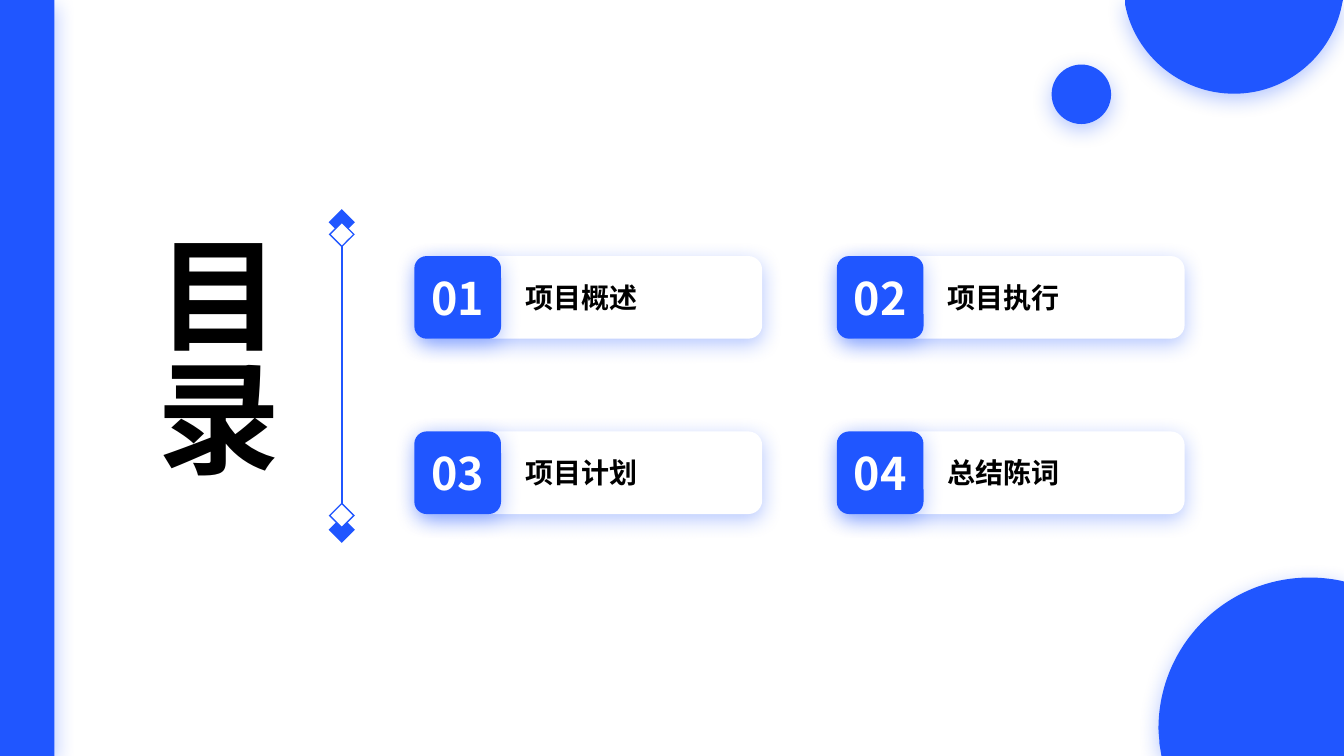
from lxml.etree import SubElement
from pptx import Presentation
from pptx.dml.color import RGBColor
from pptx.enum.shapes import MSO_CONNECTOR as Connector, MSO_SHAPE as Shape
from pptx.enum.text import MSO_ANCHOR as Anchor, PP_ALIGN as Align
from pptx.oxml.ns import qn
from pptx.util import Inches, Pt

COLORS = {"blue": "2056FF", "white": "FFFFFF", "black": "000000"}
FONT = "Noto Sans CJK SC"
PAGE_WIDTH, PAGE_HEIGHT = 13.33, 7.5
TOPICS = ["项目概述", "项目执行", "项目计划", "总结陈词"]
LOWER_CIRCLE = [
    [(1.5, 0)],
    [(1.6, 0), (1.7, 0.01), (1.8, 0.03)],
    [(1.84, 0.04)],
    [(1.84, 1.77)],
    [(0.03, 1.77)],
    [(0.01, 1.65)],
    [(0.01, 1.6), (0, 1.55), (0, 1.5)],
    [(0, 0.67), (0.67, 0), (1.5, 0)],
]
UPPER_CIRCLE = [
    [(0, 0)],
    [(2.16, 0)],
    [(2.15, 0.05)],
    [(2.05, 0.55), (1.61, 0.93), (1.08, 0.93)],
    [(0.55, 0.93), (0.1, 0.55), (0, 0.05)],
]


def rgb(name):
    return RGBColor.from_string(COLORS[name])


def add_glow(shape):
    effects = shape._element.spPr.find(qn("a:effectLst"))
    glow = SubElement(effects, qn("a:outerShdw"), blurRad=str(Pt(15)), dist=str(Pt(4)),
                      dir="5400000", algn="t", rotWithShape="0")
    color = SubElement(glow, qn("a:srgbClr"), val=COLORS["blue"])
    SubElement(color, qn("a:alpha"), val="32000")


def paint(shape, fill, line=None):
    shape.fill.solid()
    shape.fill.fore_color.rgb = rgb(fill)
    shape.shadow.inherit = False
    if line:
        shape.line.color.rgb = rgb(line)
        shape.line.width = Pt(1)
        SubElement(shape._element.spPr.find(qn("a:ln")), qn("a:miter"), lim="800000")
    else:
        shape.line.fill.background()
        add_glow(shape)


def add_block(canvas, kind, left, top, width, height, fill="blue", line=None):
    block = canvas.shapes.add_shape(kind, Inches(left), Inches(top), Inches(width), Inches(height))
    paint(block, fill, line)
    return block


def write(box, text, size, color="black", align=Align.JUSTIFY, anchor=Anchor.TOP, vertical=False):
    frame = box.text_frame
    frame.word_wrap = True
    frame.vertical_anchor = anchor
    if vertical:
        frame._txBody.bodyPr.set("vert", "eaVert")
    para = frame.paragraphs[0]
    para.alignment = align
    span = para.add_run()
    span.text = text
    span.font.size = Pt(size)
    span.font.bold = True
    span.font.color.rgb = rgb(color)
    span.font.name = FONT
    SubElement(span._r.get_or_add_rPr(), qn("a:ea"), typeface=FONT)


def add_label(page, left, top, width, height, text, **style):
    box = page.shapes.add_textbox(Inches(left), Inches(top), Inches(width), Inches(height))
    write(box, text, **style)


def add_cut_circle(page, left, top, segments):
    points = [(Inches(left + x), Inches(top + y)) for segment in segments for x, y in segment]
    builder = page.shapes.build_freeform(*points[0])
    builder.add_line_segments(points[1:], close=True)
    circle = builder.convert_to_shape()
    steps = iter(list(circle._element.iter(qn("a:lnTo"))))
    for segment in segments[1:]:
        step = next(steps)
        if len(segment) == 3:
            step.addprevious(curve := step.makeelement(qn("a:cubicBezTo")))
            for part in (step, next(steps), next(steps)):
                curve.append(part[0])
                part.getparent().remove(part)
    paint(circle, "blue")


def add_topic(page, left, top, number, topic):
    height = 0.82
    add_block(page, Shape.ROUNDED_RECTANGLE, left + 0.05, top, 3.4, height, "white")
    badge = add_block(page, Shape.ROUNDED_RECTANGLE, left, top, 0.86, height)
    badge.adjustments[0] = 0.149
    write(badge, f"{number:02}", 32, "white", Align.CENTER, Anchor.MIDDLE)
    add_label(page, left + 1, top + 0.19, 2.33, 0.44, topic, size=20)


def add_topics(page, left, top):
    for index, topic in enumerate(TOPICS):
        row, column = divmod(index, 2)
        add_topic(page, left + 4.19 * column, top + 1.74 * row, index + 1, topic)


def add_divider(page, center, top):
    group = page.shapes.add_group_shape()
    line = group.shapes.add_connector(Connector.STRAIGHT, Inches(center), Inches(top + 0.25),
                                      Inches(center), Inches(top + 2.99))
    line.line.color.rgb = rgb("blue")
    line.line.width = Pt(1.25)
    SubElement(line._element.spPr, qn("a:effectLst"))
    side = 0.17
    for offset, fill in [(0, "blue"), (3.05, "blue"), (0.12, "white"), (2.91, "white")]:
        diamond = add_block(group, Shape.RECTANGLE, center - side / 2, top + offset, side, side,
                            fill, line="blue")
        diamond.rotation = 315


def build_contents(page):
    add_cut_circle(page, 11.49, 5.73, LOWER_CIRCLE)
    add_label(page, 1.23, 2.21, 1.68, 3.08, "目录", size=88, vertical=True)
    add_block(page, Shape.OVAL, 10.43, 0.64, 0.59, 0.59)
    add_cut_circle(page, 11.16, 0, UPPER_CIRCLE)
    add_topics(page, 4.11, 2.54)
    add_block(page, Shape.RECTANGLE, 0, 0, 0.54, PAGE_HEIGHT)
    add_divider(page, 3.39, 2.12)


def main():
    deck = Presentation()
    deck.slide_width = Inches(PAGE_WIDTH)
    deck.slide_height = Inches(PAGE_HEIGHT)
    build_contents(deck.slides.add_slide(deck.slide_layouts[6]))
    deck.save("out.pptx")


if __name__ == "__main__":
    main()
